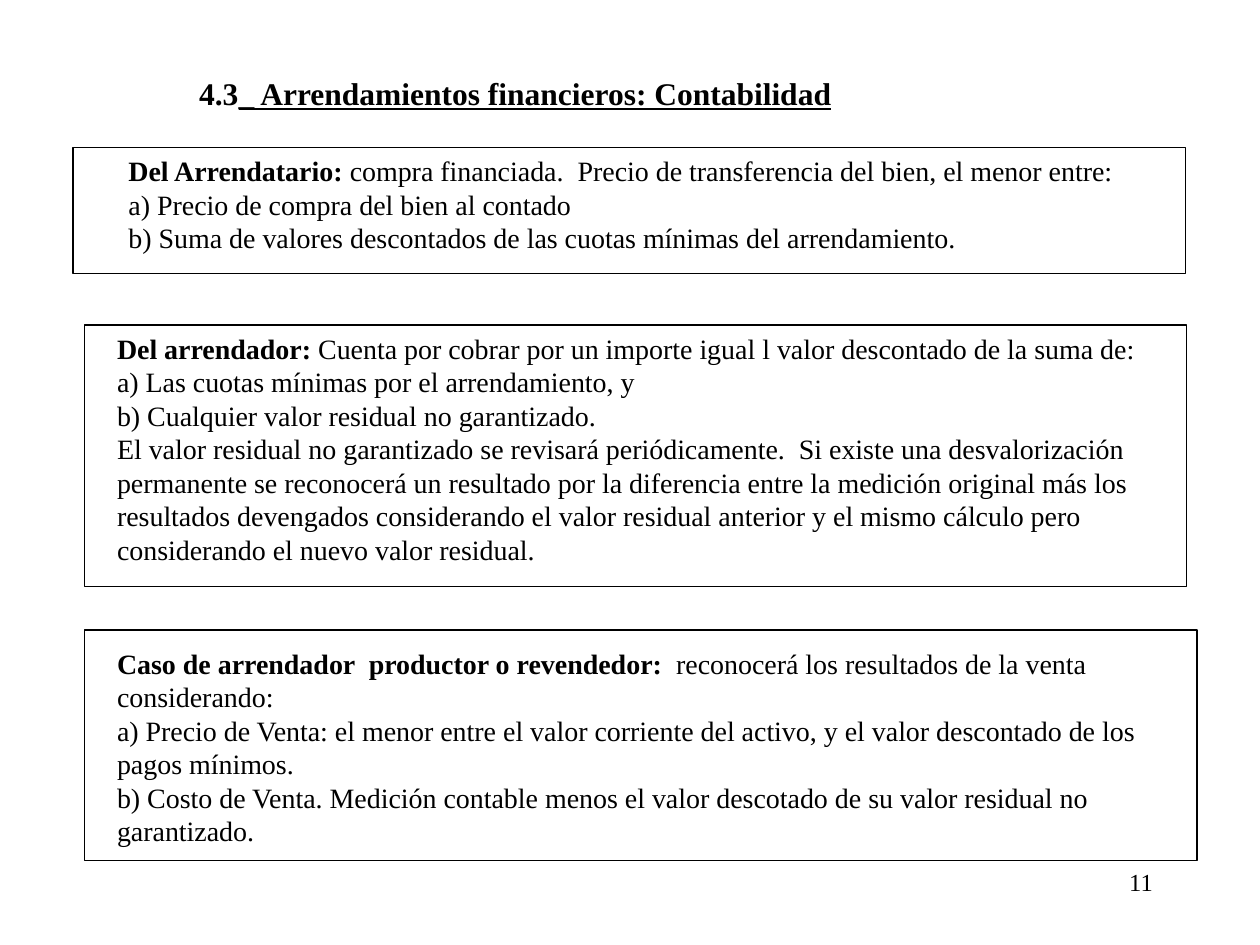
from pptx import Presentation
from pptx.dml.color import RGBColor
from pptx.enum.shapes import MSO_SHAPE
from pptx.enum.text import MSO_ANCHOR, MSO_AUTO_SIZE, PP_ALIGN
from pptx.util import Cm, Pt

RECTANGLE = MSO_SHAPE.RECTANGLE
TOP = MSO_ANCHOR.TOP
NO_FIT = MSO_AUTO_SIZE.NONE
LEFT, RIGHT = PP_ALIGN.LEFT, PP_ALIGN.RIGHT
FONT = "Times New Roman"
BLACK = "000000"


def color(value):
    return RGBColor.from_string(value)


def add_span(para, text, size, bold=False, underline=False):
    span = para.add_run()
    span.text = text
    span.font.name = FONT
    span.font.size = Pt(size)
    span.font.bold = bold
    span.font.underline = underline
    span.font.color.rgb = color(BLACK)


deck = Presentation()
deck.slide_width, deck.slide_height = Cm(25.4), Cm(19.05)
page = deck.slides.add_slide(deck.slide_layouts[5])

title = page.shapes.title
title.left, title.top, title.width, title.height = Cm(3.76), Cm(1.37), Cm(13.31), Cm(1.02)
frame = title.text_frame
frame.word_wrap = False
frame.auto_size = NO_FIT
frame.vertical_anchor = TOP
para = frame.paragraphs[0]
para.alignment = LEFT
para.line_spacing = Pt(21.6)
add_span(para, "4.3", 18, bold=True)
add_span(para, "_ Arrendamientos financieros: Contabilidad", 18, bold=True, underline=True)

sections = [
    ((1.47, 2.97, 22.43, 2.54), (2.34, 2.97, 21.56, 2.97), "Del Arrendatario: ", [
        "compra financiada.  Precio de transferencia del bien, el menor entre:",
        "a) Precio de compra del bien al contado",
        "b) Suma de valores descontados de las cuotas mínimas del arrendamiento.",
    ]),
    ((1.7, 6.55, 22.22, 5.28), (2.11, 6.55, 21.64, 5), "Del arrendador: ", [
        "Cuenta por cobrar por un importe igual l valor descontado de la suma de:",
        "a) Las cuotas mínimas por el arrendamiento, y",
        "b) Cualquier valor residual no garantizado.",
        "El valor residual no garantizado se revisará periódicamente.  Si existe una "
        "desvalorización permanente se reconocerá un resultado por la diferencia entre la "
        "medición original más los resultados devengados considerando el valor residual "
        "anterior y el mismo cálculo pero considerando el nuevo valor residual.",
    ]),
    ((1.7, 12.7, 22.43, 4.65), (2.11, 12.9, 21.21, 5.69),
     "Caso de arrendador  productor o revendedor:  ", [
        "reconocerá los resultados de la venta considerando:",
        "a) Precio de Venta: el menor entre el valor corriente del activo, y el valor "
        "descontado de los pagos mínimos.",
        "b) Costo de Venta. Medición contable menos el valor descotado de su valor "
        "residual no garantizado.",
    ]),
]

for border_place, text_place, heading, lines in sections:
    border = page.shapes.add_shape(RECTANGLE, *map(Cm, border_place))
    border.shadow.inherit = False
    border.fill.background()
    border.line.color.rgb = color(BLACK)
    border.line.width = Pt(0.75)

    box = page.shapes.add_textbox(*map(Cm, text_place))
    frame = box.text_frame
    frame.word_wrap = True
    for index, line in enumerate(lines):
        para = frame.add_paragraph() if index else frame.paragraphs[0]
        para.line_spacing = Pt(19.2)
        if index == 0:
            add_span(para, heading, 16, bold=True)
        add_span(para, line, 16)

number_box = page.shapes.add_textbox(Cm(18.21), Cm(17.35), Cm(5.28), Cm(1.27))
number_box.text_frame.word_wrap = True
para = number_box.text_frame.paragraphs[0]
para.alignment = RIGHT
add_span(para, "11", 14)

deck.save("out.pptx")
